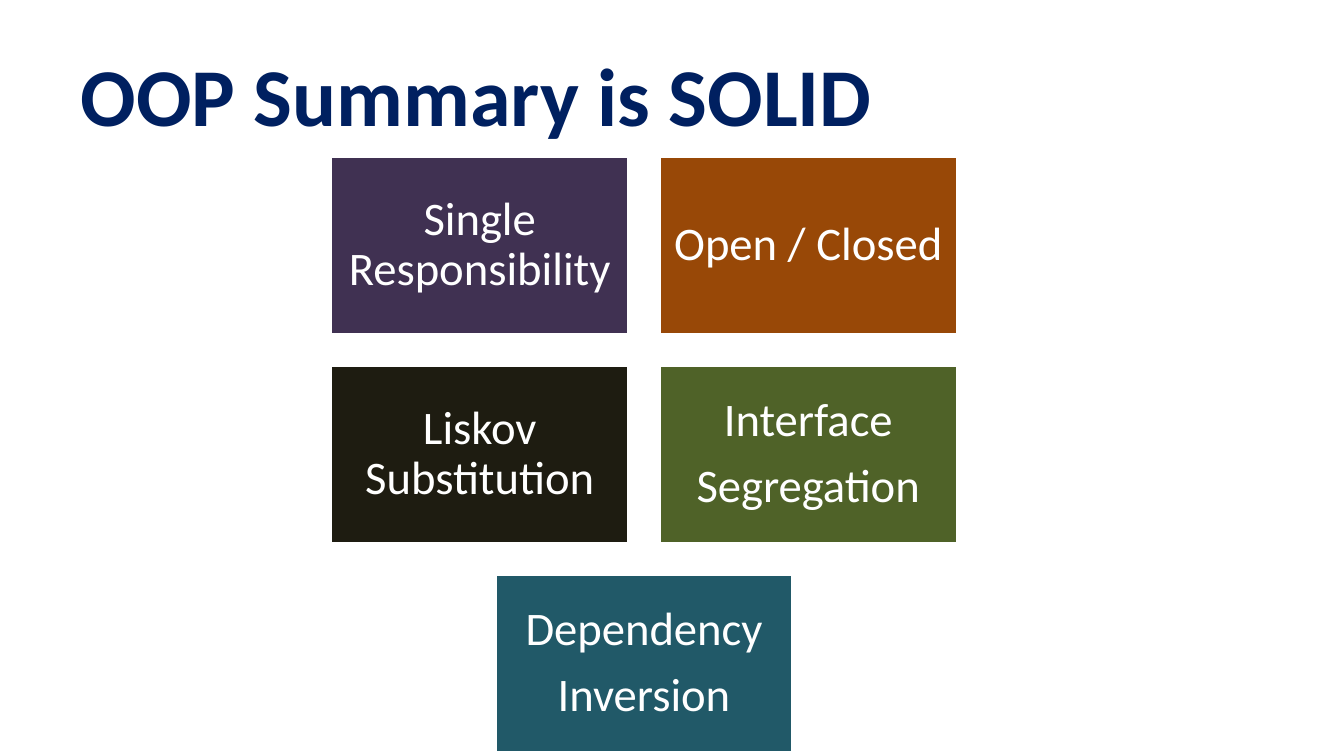
from pptx import Presentation
from pptx.dml.color import RGBColor
from pptx.enum.shapes import MSO_SHAPE
from pptx.enum.text import MSO_ANCHOR, MSO_AUTO_SIZE, PP_ALIGN
from pptx.util import Pt

RECTANGLE = MSO_SHAPE.RECTANGLE
MIDDLE = MSO_ANCHOR.MIDDLE
NO_AUTOFIT = MSO_AUTO_SIZE.NONE
LEFT, CENTER = PP_ALIGN.LEFT, PP_ALIGN.CENTER

FONT = "Calibri"
TITLE_ONLY = 5
NAVY = RGBColor(0x00, 0x20, 0x60)
WHITE = RGBColor(0xFF, 0xFF, 0xFF)
PURPLE = RGBColor(0x40, 0x31, 0x52)
ORANGE = RGBColor(0x98, 0x48, 0x07)
BLACK = RGBColor(0x1E, 0x1C, 0x11)
GREEN = RGBColor(0x4F, 0x62, 0x28)
TEAL = RGBColor(0x21, 0x59, 0x68)

PRINCIPLE_ROWS = [
    [("Single Responsibility", PURPLE), ("Open / Closed", ORANGE)],
    [("Liskov Substitution", BLACK), ("Interface\nSegregation", GREEN)],
    [("Dependency\nInversion", TEAL)],
]


def write_text(frame, text, size, color, bold=False, align=LEFT,
               line_spacing=1.0, space_after=0, inset=7.2):
    frame.word_wrap = True
    frame.auto_size = NO_AUTOFIT
    frame.vertical_anchor = MIDDLE
    frame.margin_left = frame.margin_right = Pt(inset)
    frame.margin_top = frame.margin_bottom = Pt(inset)
    for index, line in enumerate(text.split("\n")):
        para = frame.add_paragraph() if index else frame.paragraphs[0]
        para.alignment = align
        para.line_spacing = line_spacing
        para.space_after = Pt(space_after)
        span = para.add_run()
        span.text = line
        span.font.name = FONT
        span.font.size = Pt(size)
        span.font.bold = bold
        span.font.color.rgb = color


def place_title(page, text, left, top, width, height):
    title = page.shapes.title
    title.left, title.top = Pt(left), Pt(top)
    title.width, title.height = Pt(width), Pt(height)
    write_text(title.text_frame, text, 44, NAVY, bold=True)


def place_principles(page, rows, left, top, width, height, gap):
    columns = max(len(row) for row in rows)
    box_width = (width - gap * (columns - 1)) / columns
    box_height = (height - gap * (len(rows) - 1)) / len(rows)
    for row_index, row in enumerate(rows):
        row_width = len(row) * (box_width + gap) - gap
        row_left = left + (width - row_width) / 2
        box_top = top + row_index * (box_height + gap)
        for column, (text, color) in enumerate(row):
            box_left = row_left + column * (box_width + gap)
            box = page.shapes.add_shape(RECTANGLE, Pt(box_left), Pt(box_top),
                                        Pt(box_width), Pt(box_height))
            box.shadow.inherit = False
            box.fill.solid()
            box.fill.fore_color.rgb = color
            box.line.color.rgb = WHITE
            box.line.width = Pt(2)
            write_text(box.text_frame, text, 25, WHITE, align=CENTER,
                       line_spacing=0.9, space_after=8.75, inset=7)


def main():
    deck = Presentation()
    deck.slide_width, deck.slide_height = Pt(720), Pt(405)
    page = deck.slides.add_slide(deck.slide_layouts[TITLE_ONLY])
    place_title(page, "OOP Summary is SOLID", 36, 16.5, 648, 67.5)
    place_principles(page, PRINCIPLE_ROWS, 177, 83.7, 336, 319.6, 16)
    deck.save("out.pptx")


if __name__ == "__main__":
    main()
